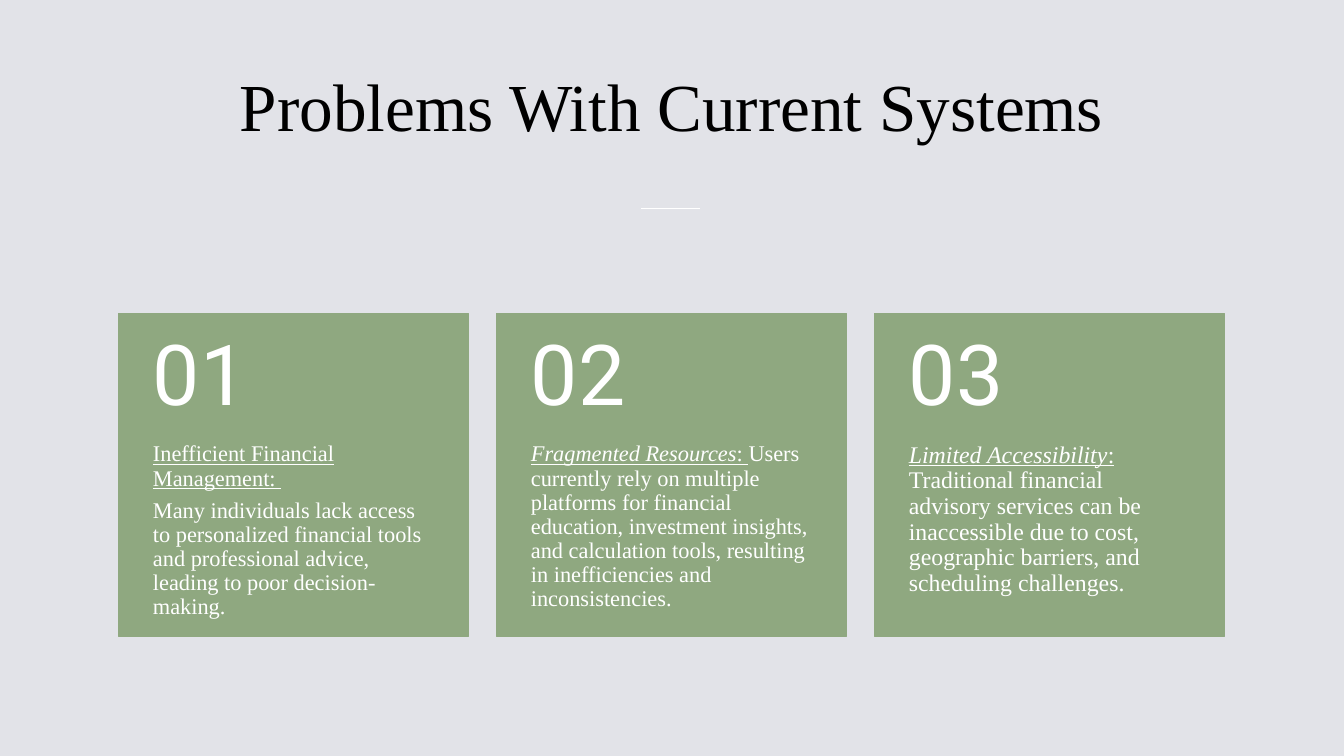
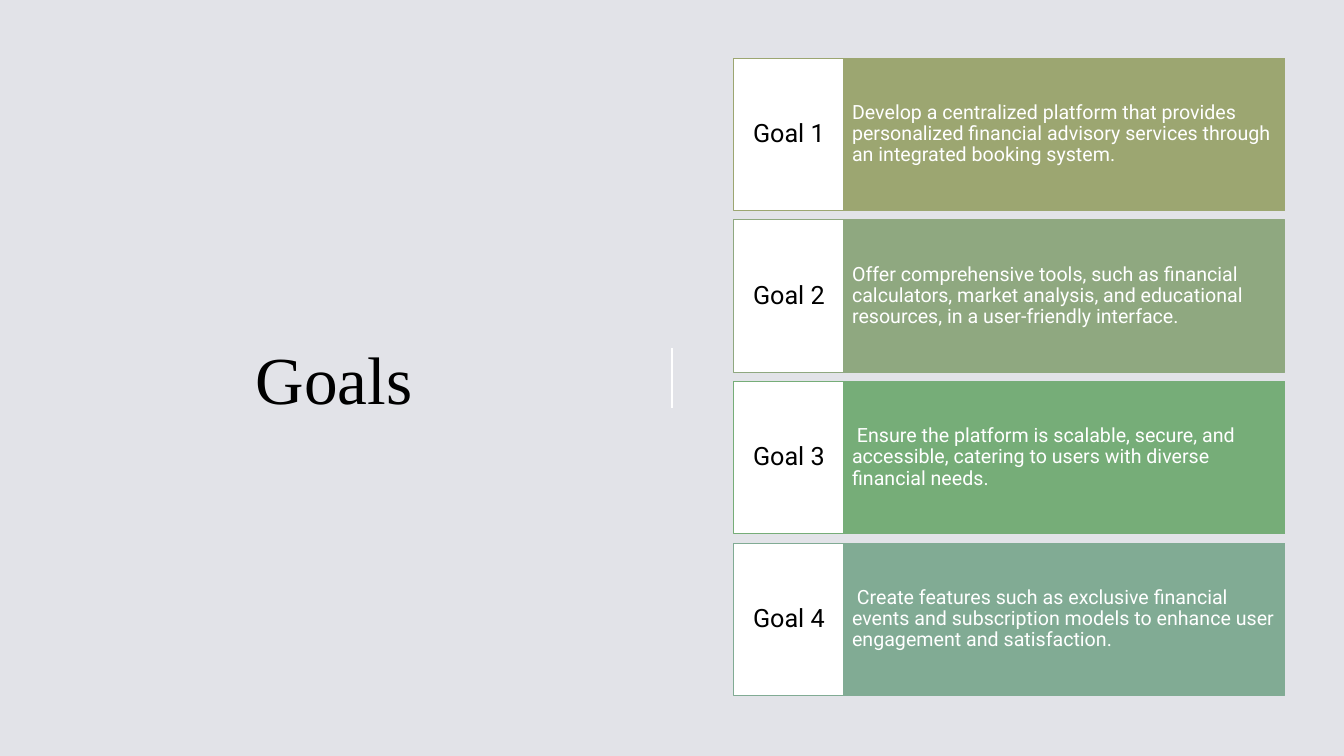
from dataclasses import dataclass

from lxml import etree
from pptx import Presentation, util as u
from pptx.dml.color import RGBColor
from pptx.enum import shapes, text
from pptx.oxml import ns


@dataclass(frozen=True)
class Theme:
    backdrop: str = "E2E3E8"
    ink: str = "000000"
    paper: str = "FFFFFF"
    sage: str = "8FA880"
    goal_fills: tuple = ("9CA671", "8FA880", "76AD78", "81AB94")
    serif: str = "Times New Roman"
    sans: str = "Roboto"
    title_size: int = 48
    number_size: int = 60
    label_size: int = 18
    goal_size: int = 14
    outline: float = 0.75
    rule: float = 1
    line_spacing: float = 0.9
    space_share: float = 0.35


@dataclass(frozen=True)
class Box:
    left: float
    top: float
    width: float
    height: float

    def area(self, left, top, width, height):
        return Box(self.left + left * self.width, self.top + top * self.height,
                   width * self.width, height * self.height)

    def columns(self, count, gap):
        size = (1 - gap * (count - 1)) / count
        return [self.area(i * (size + gap), 0, size, 1) for i in range(count)]

    def rows(self, count, gap):
        size = (1 - gap * (count - 1)) / count
        return [self.area(0, i * (size + gap), 1, size) for i in range(count)]

    def place(self):
        return [u.Inches(v) for v in (self.left, self.top, self.width, self.height)]


THEME = Theme()
PAGE = Box(0, 0, 13.333, 7.5)

PROBLEMS = [
    (16, [[("Inefficient Financial Management: ", "u")],
          [("Many individuals lack access to personalized financial tools and "
            "professional advice, leading to poor decision-making.", "")]]),
    (16, [[("Fragmented Resources", "iu"), (": ", "u"),
           ("Users currently rely on multiple platforms for financial education, "
            "investment insights, and calculation tools, resulting in "
            "inefficiencies and inconsistencies.", "")]]),
    (17, [[("Limited Accessibility", "iu"), (": ", "u"),
           ("Traditional financial advisory services can be inaccessible due to "
            "cost, geographic barriers, and scheduling challenges.", "")]]),
]

GOALS = [
    "Develop a centralized platform that provides personalized financial advisory "
    "services through an integrated booking system.",
    "Offer comprehensive tools, such as financial calculators, market analysis, and "
    "educational resources, in a user-friendly interface.",
    " Ensure the platform is scalable, secure, and accessible, catering to users "
    "with diverse financial needs.",
    " Create features such as exclusive financial events and subscription models to "
    "enhance user engagement and satisfaction.",
]


def rgb(color):
    return RGBColor.from_string(color)


def write(shape, paragraphs, *, size, font, color, align="LEFT", anchor="MIDDLE",
          insets=(0.1, 0.05, 0.1, 0.05), spacing=THEME.line_spacing,
          space_share=THEME.space_share):
    frame = shape.text_frame
    frame.word_wrap = True
    frame.auto_size = text.MSO_AUTO_SIZE.NONE
    frame.vertical_anchor = text.MSO_ANCHOR[anchor]
    (frame.margin_left, frame.margin_top,
     frame.margin_right, frame.margin_bottom) = [u.Inches(v) for v in insets]
    if isinstance(paragraphs, str):
        paragraphs = [[(paragraphs, "")]]
    for index, spans in enumerate(paragraphs):
        para = frame.add_paragraph() if index else frame.paragraphs[0]
        para.alignment = text.PP_ALIGN[align]
        para.line_spacing = spacing
        para.space_before = u.Pt(0)
        para.space_after = u.Pt(round(size * space_share, 1))
        for wording, style in spans:
            span = para.add_run()
            span.text = wording
            span.font.name = font
            span.font.size = u.Pt(size)
            span.font.color.rgb = rgb(color)
            span.font.italic = "i" in style
            span.font.underline = "u" in style


def add_text(page, box, paragraphs, **style):
    write(page.shapes.add_textbox(*box.place()), paragraphs, **style)


def add_panel(page, box, fill, line):
    panel = page.shapes.add_shape(shapes.MSO_SHAPE.RECTANGLE, *box.place())
    panel.shadow.inherit = False
    panel.fill.solid()
    panel.fill.fore_color.rgb = rgb(fill)
    panel.line.color.rgb = rgb(line)
    panel.line.width = u.Pt(THEME.outline)
    return panel


def add_rule(page, box):
    left, top, width, height = box.place()
    rule = page.shapes.add_connector(shapes.MSO_CONNECTOR.STRAIGHT,
                                     left, top, left + width, top + height)
    rule.line.color.rgb = rgb(THEME.paper)
    rule.line.width = u.Pt(THEME.rule)
    etree.SubElement(rule._element.spPr, ns.qn("a:effectLst"))


def add_page(deck, title, title_box, rule_box):
    page = deck.slides.add_slide(deck.slide_layouts.get_by_name("Title Only"))
    holder = page.shapes.title
    holder.left, holder.top, holder.width, holder.height = title_box.place()
    write(holder, title, size=THEME.title_size, font=THEME.serif, color=THEME.ink,
          align="CENTER", spacing=1.0, space_share=0)
    add_rule(page, rule_box)
    return page


def problem_card(page, box, number, size, paragraphs):
    add_panel(page, box, THEME.sage, THEME.sage)
    add_text(page, box.area(0, 0.4, 1, 0.6), paragraphs, size=size, font=THEME.serif,
             color=THEME.paper, anchor="TOP", insets=(0.34, 0, 0.34, 0.36))
    add_text(page, box.area(0, 0, 1, 0.4), f"{number:02}", size=THEME.number_size,
             font=THEME.sans, color=THEME.paper, insets=(0.34, 0.18, 0.34, 0.18))


def goal_row(page, box, number, wording, fill):
    detail = add_panel(page, box.area(0.2, 0, 0.8, 1), fill, fill)
    write(detail, wording, size=THEME.goal_size, font=THEME.sans, color=THEME.paper,
          insets=(0.08, 0.38, 0.08, 0.38))
    label = add_panel(page, box.area(0, 0, 0.2, 1), THEME.paper, fill)
    write(label, f"Goal {number}", size=THEME.label_size, font=THEME.sans,
          color=THEME.ink, align="CENTER", insets=(0.06, 0.15, 0.06, 0.15))


def problems_page(deck, box):
    page = add_page(deck, "Problems With Current Systems",
                    box.area(0.081, 0.037, 0.838, 0.203),
                    box.area(0.477, 0.276, 0.044, 0))
    cards = box.area(0.0883, 0.4147, 0.8227, 0.4267).columns(3, 0.0255)
    for number, (card, (size, paragraphs)) in enumerate(zip(cards, PROBLEMS), 1):
        problem_card(page, card, number, size, paragraphs)


def goals_page(deck, box):
    page = add_page(deck, "Goals", box.area(0.0885, 0.157, 0.32, 0.684),
                    box.area(0.5, 0.46, 0, 0.08))
    rows = box.area(0.546, 0.077, 0.41, 0.843).rows(4, 0.0145)
    for number, (row, wording, fill) in enumerate(zip(rows, GOALS, THEME.goal_fills), 1):
        goal_row(page, row, number, wording, fill)


def main():
    deck = Presentation()
    deck.slide_width = u.Inches(PAGE.width)
    deck.slide_height = u.Inches(PAGE.height)
    backdrop = deck.slide_master.background.fill
    backdrop.solid()
    backdrop.fore_color.rgb = rgb(THEME.backdrop)
    problems_page(deck, PAGE)
    goals_page(deck, PAGE)
    deck.save("out.pptx")


if __name__ == "__main__":
    main()
